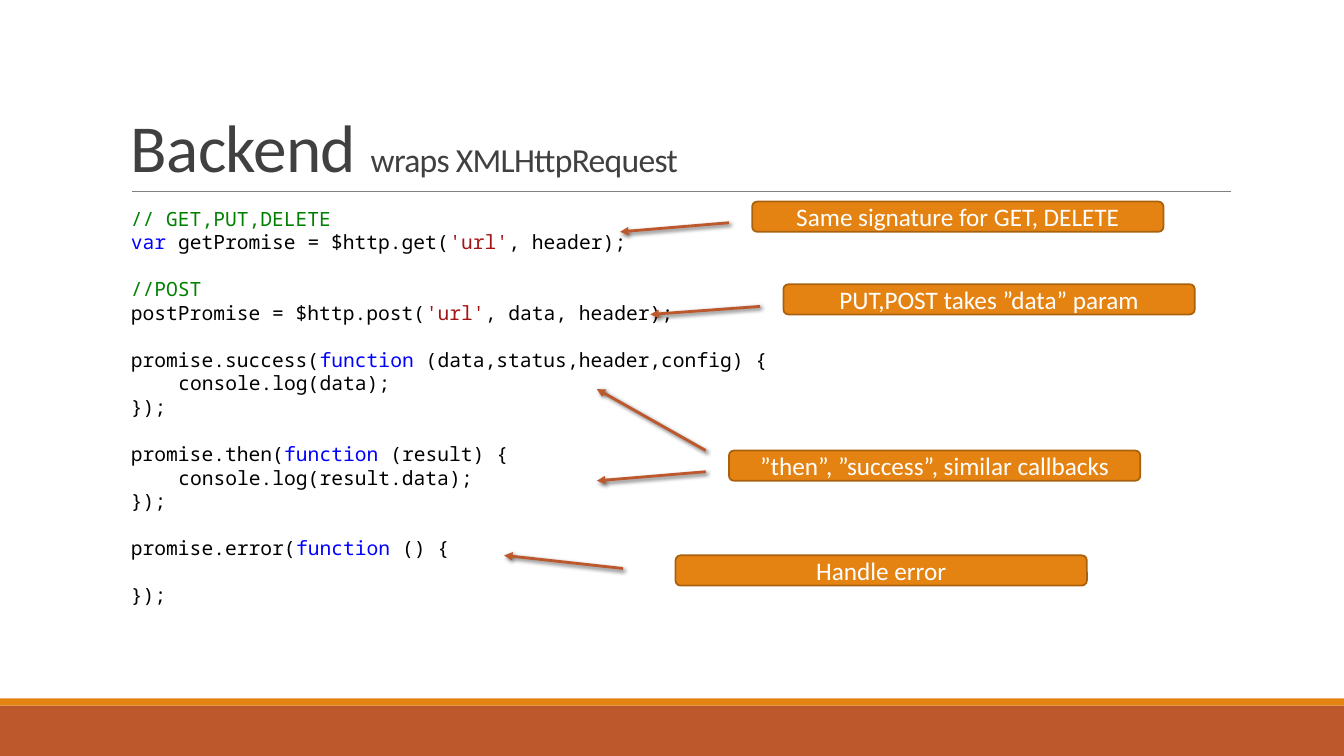
from pptx import Presentation
from pptx.dml.color import RGBColor
from pptx.enum.shapes import MSO_CONNECTOR, MSO_SHAPE
from pptx.enum.text import MSO_ANCHOR, PP_ALIGN
from pptx.oxml import parse_xml
from pptx.oxml.ns import nsdecls
from pptx.util import Inches, Pt

WHITE = RGBColor(0xFF, 0xFF, 0xFF)
BLACK = RGBColor(0x00, 0x00, 0x00)
GRAY = RGBColor(0x80, 0x80, 0x80)
TITLE_GRAY = RGBColor(0x40, 0x40, 0x40)
RUST = RGBColor(0xBD, 0x58, 0x2C)
ORANGE = RGBColor(0xE4, 0x83, 0x12)
DARK_ORANGE = RGBColor(0xA9, 0x61, 0x0D)
COMMENT = RGBColor(0x00, 0x80, 0x00)
KEYWORD = RGBColor(0x00, 0x00, 0xFF)
STRING = RGBColor(0xA3, 0x15, 0x15)
CODE_SIZE = 14
CODE_PITCH = Pt(16.8)
TAB = Inches(0.47)  # four monospaced characters


def add_run(paragraph, text, size=18, font="Calibri", color=WHITE, spacing=None):
    run = paragraph.add_run()
    run.text = text
    run.font.size = Pt(size)
    run.font.name = font
    run.font.color.rgb = color
    if spacing is not None:
        run.font._element.set("spc", str(spacing))


def add_line(start, end, color, width, effects=""):
    line = slide.shapes.add_connector(
        MSO_CONNECTOR.STRAIGHT, *(Inches(v) for v in (*start, *end)))
    line.line.color.rgb = color
    line.line.width = Pt(width)
    line._element.spPr.append(
        parse_xml(f'<a:effectLst {nsdecls("a")}>{effects}</a:effectLst>'))
    return line


prs = Presentation()
prs.slide_width, prs.slide_height = Inches(13.33), Inches(7.5)
slide = prs.slides.add_slide(prs.slide_layouts[6])

# Footer bands
for top, height, color in [(7, 0.5, RUST), (6.93, 0.07, ORANGE)]:
    band = slide.shapes.add_shape(
        MSO_SHAPE.RECTANGLE, 0, Inches(top), prs.slide_width, Inches(height))
    band.shadow.inherit = False
    band.fill.solid()
    band.fill.fore_color.rgb = color
    band.line.fill.background()

# Title and its rule
add_line((1.31, 1.9), (12.21, 1.9), GRAY, 0.5)
title = slide.shapes.add_textbox(
    Inches(1.2), Inches(0.31), Inches(11), Inches(1.59)).text_frame
title.word_wrap = True
title.vertical_anchor = MSO_ANCHOR.BOTTOM
heading = title.paragraphs[0]
heading.line_spacing = 0.85
for text, size in [("Backend ", 48), ("wraps XMLHttpRequest", 24)]:
    add_run(heading, text, size=size, color=TITLE_GRAY, spacing=-50)

# Code: blocks of lines, each line (indent level, coloured pieces)
FUNCTION = ("function", KEYWORD)
URL = ("'url'", STRING)
CLOSE = (0, [("});", BLACK)])
code_blocks = [
    [(0, [("// GET,PUT,DELETE", COMMENT)]),
     (0, [("var", KEYWORD), (" getPromise = $http.get(", BLACK), URL,
          (", header);", BLACK)])],
    [(0, [("//POST", COMMENT)]),
     (0, [("postPromise = $http.post(", BLACK), URL,
          (", data, header);", BLACK)])],
    [(0, [("promise.success(", BLACK), FUNCTION,
          (" (data,status,header,config) {", BLACK)]),
     (1, [("console.log(data);", BLACK)]),
     CLOSE],
    [(0, [("promise.then(", BLACK), FUNCTION, (" (result) {", BLACK)]),
     (1, [("console.log(result.data);", BLACK)]),
     CLOSE],
    [(0, [("promise.error(", BLACK), FUNCTION, (" () {", BLACK)])],
    [CLOSE],
]
code = slide.shapes.add_textbox(
    Inches(1.2), Inches(2), Inches(6.67), Inches(4.11)).text_frame
code.word_wrap = True
for block_index, block in enumerate(code_blocks):
    for line_index, (level, pieces) in enumerate(block):
        first = block_index == line_index == 0
        code_line = code.paragraphs[0] if first else code.add_paragraph()
        code_line.line_spacing = CODE_PITCH
        if line_index == 0 and not first:
            code_line.space_before = CODE_PITCH
        if level:
            code_line._p.get_or_add_pPr().set("marL", str(level * TAB))
        for text, color in pieces:
            add_run(code_line, text, size=CODE_SIZE, font="Noto Sans Mono", color=color)

# Callouts
callouts = [
    (7.46, 2, "Same signature for GET, DELETE"),
    (7.77, 2.82, "PUT,POST takes ”data” param"),
    (7.23, 4.47, "”then”, ”success”, similar callbacks"),
    (6.7, 5.51, "Handle error"),
]
for left, top, text in callouts:
    callout = slide.shapes.add_shape(
        MSO_SHAPE.ROUNDED_RECTANGLE,
        Inches(left), Inches(top), Inches(4.08), Inches(0.3))
    callout.shadow.inherit = False
    callout.fill.solid()
    callout.fill.fore_color.rgb = ORANGE
    callout.line.color.rgb = DARK_ORANGE
    callout.line.width = Pt(1.25)
    callout.text_frame.word_wrap = True
    callout.text_frame.vertical_anchor = MSO_ANCHOR.MIDDLE
    label = callout.text_frame.paragraphs[0]
    label.alignment = PP_ALIGN.CENTER
    add_run(label, text)

# Arrows from the callouts to the code
ARROW_SHADOW = (
    f'<a:outerShdw blurRad="{Pt(3)}" dist="{Pt(2)}" dir="2700000" rotWithShape="0">'
    '<a:srgbClr val="000000"><a:alpha val="60000"/></a:srgbClr></a:outerShdw>')
arrows = [
    ((7.23, 2.21), (6.15, 2.3)),
    ((7.54, 3.04), (6.45, 3.12)),
    ((7, 4.68), (5.92, 4.77)),
    ((7, 4.47), (5.92, 3.86)),
    ((6.18, 5.64), (5, 5.51)),
]
for start, end in arrows:
    arrow = add_line(start, end, RUST, 2, effects=ARROW_SHADOW)
    arrow.line._get_or_add_ln().append(
        parse_xml(f'<a:tailEnd {nsdecls("a")} type="triangle"/>'))

prs.save("out.pptx")
